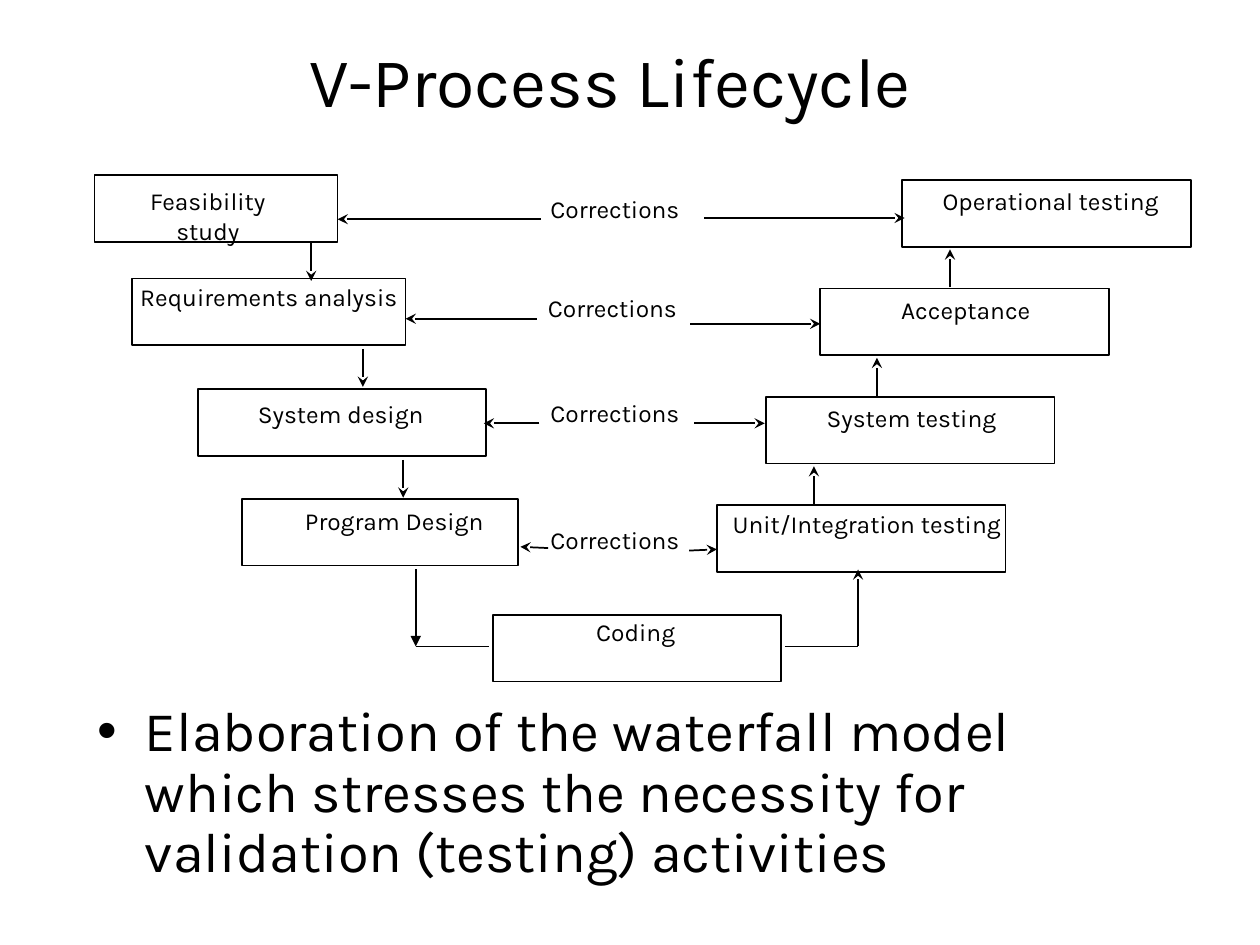
import pptx
from pptx.util import Inches, Pt
from pptx.dml.color import RGBColor
from pptx.enum.shapes import MSO_SHAPE, MSO_CONNECTOR
from pptx.enum.text import PP_ALIGN, MSO_ANCHOR, MSO_AUTO_SIZE
from lxml import etree

FONT, INK = "Karla", "000000"
TITLE = "V-Process Lifecycle"
POINT = ("Elaboration of the waterfall model which stresses the necessity "
         "for validation (testing) activities")
BOX_H, TEXT_H = 0.53, 0.33

# Stage: name, box (left, top, width), label (left, top, width), label wraps
STAGES = [
    ("Feasibility study", (0.75, 1.39, 1.93), (0.85, 1.43, 1.6), True),
    ("Requirements analysis", (1.05, 2.21, 2.17), (1, 2.19, 2.27), False),
    ("System design", (1.57, 3.09, 2.29), (1.94, 3.12, 1.53), False),
    ("Program Design", (1.92, 3.96, 2.19), (2.28, 3.97, 1.7), False),
    ("Coding", (3.91, 4.88, 2.29), (4.62, 4.85, 0.85), False),
    ("Unit/Integration testing", (5.69, 4.01, 2.29), (5.69, 3.99, 2.38), False),
    ("System testing", (6.08, 3.15, 2.29), (6.46, 3.15, 1.55), False),
    ("Acceptance", (6.51, 2.29, 2.29), (7.04, 2.29, 1.25), False),
    ("Operational testing", (7.16, 1.43, 2.29), (7.35, 1.43, 1.98), False),
]

# Correction: label (left, top), left arrow (start, tip), right arrow (start, tip)
FIXES = [
    ((4.27, 1.49), (4.29, 1.74, 2.68, 1.74), (5.59, 1.73, 7.18, 1.73)),
    ((4.25, 2.28), (4.26, 2.53, 3.22, 2.53), (5.48, 2.57, 6.51, 2.57)),
    ((4.27, 3.11), (4.28, 3.36, 3.84, 3.36), (5.51, 3.36, 6.07, 3.36)),
    ((4.27, 4.12), (4.35, 4.35, 4.13, 4.34), (5.47, 4.37, 5.69, 4.36)),
]

# Steps down the left side and up the right side: x, start y
DOWN = [(2.47, 1.93), (2.88, 2.77), (3.2, 3.65)]
UP = [(6.46, 4), (6.96, 3.14), (7.54, 2.28)]
STEP = 0.3

# Elbows into and out of coding: start, end, arrowhead
ELBOWS = [
    ((3.3, 4.52, 3.3, 5.13), "triangle"),
    ((3.3, 5.13, 3.88, 5.13), None),
    ((6.23, 5.13, 6.81, 5.13), None),
    ((6.81, 5.13, 6.81, 4.52), "stealth"),
]

prs = pptx.Presentation()
prs.slide_width, prs.slide_height = Inches(10), Inches(7.5)
slide = prs.slides.add_slide(prs.slide_layouts[1])
shapes = slide.shapes


def color(code):
    return RGBColor.from_string(code)


def place(shape, left, top, width, height):
    shape.left, shape.top = Inches(left), Inches(top)
    shape.width, shape.height = Inches(width), Inches(height)


def write(shape, text, size, align, wrap=True, anchor=MSO_ANCHOR.TOP):
    frame = shape.text_frame
    frame.word_wrap, frame.auto_size = wrap, MSO_AUTO_SIZE.NONE
    frame.vertical_anchor = anchor
    para = frame.paragraphs[0]
    para.alignment = align
    run = para.add_run()
    run.text = text
    run.font.size, run.font.name = Pt(size), FONT
    run.font.color.rgb = color(INK)
    return para


def label(text, left, top, width, align, wrap=False):
    box = shapes.add_textbox(Inches(left), Inches(top), Inches(width), Inches(TEXT_H))
    write(box, text, 14, align, wrap)


def line(ends, head="stealth"):
    link = shapes.add_connector(MSO_CONNECTOR.STRAIGHT, *map(Inches, ends))
    link.line.color.rgb, link.line.width = color(INK), Pt(1)
    if head:
        tip = etree.SubElement(link.line._get_or_add_ln(), pptx.oxml.ns.qn("a:tailEnd"))
        tip.set("type", head)
    etree.SubElement(link._element.spPr, pptx.oxml.ns.qn("a:effectLst"))


# Title
place(shapes.title, 0.59, 0.21, 8.5, 0.85)
write(shapes.title, TITLE, 40, PP_ALIGN.CENTER, anchor=MSO_ANCHOR.MIDDLE)

# Stages of the V
for name, (left, top, width), spot, wrap in STAGES:
    label(name, *spot, PP_ALIGN.CENTER, wrap)
    box = shapes.add_shape(MSO_SHAPE.RECTANGLE, Inches(left), Inches(top),
                           Inches(width), Inches(BOX_H))
    box.shadow.inherit = False
    box.fill.background()
    box.line.color.rgb, box.line.width = color(INK), Pt(1)

# Arrows between stages
for x, y in DOWN:
    line((x, y, x, y + STEP))
for x, y in UP:
    line((x, y, x, y - STEP))
for ends, head in ELBOWS:
    line(ends, head)

# Corrections across the V
for (left, top), west, east in FIXES:
    label("Corrections", left, top, 1.26, PP_ALIGN.LEFT)
    line(west)
    line(east)

# Closing point
body = slide.placeholders[1]
place(body, 0.67, 5.53, 8.74, 1.6)
para = write(body, POINT, 32, PP_ALIGN.LEFT)
para.line_spacing, para.space_before = 0.9, Pt(0)
props = para._p.get_or_add_pPr()
props.set("marL", str(Inches(0.38)))
props.set("indent", str(Inches(-0.38)))
etree.SubElement(props, pptx.oxml.ns.qn("a:buChar")).set("char", "•")

prs.save("out.pptx")
